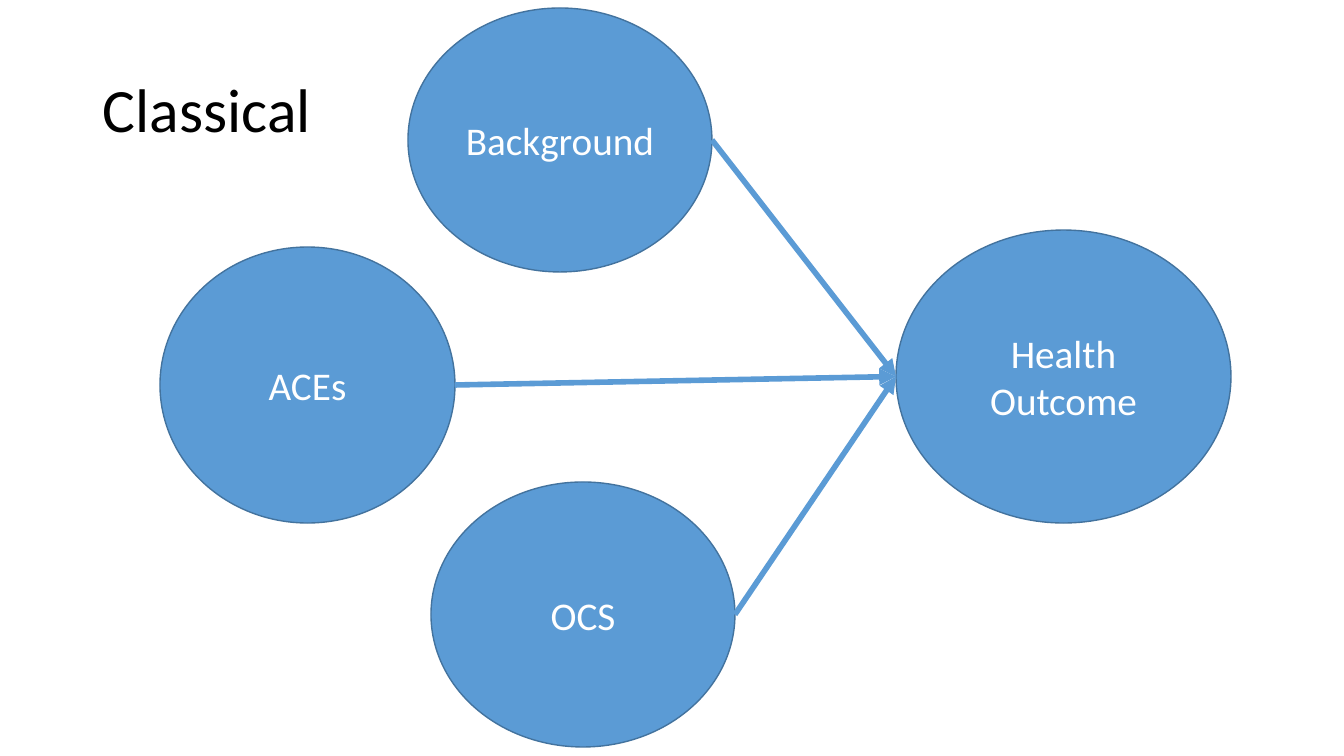
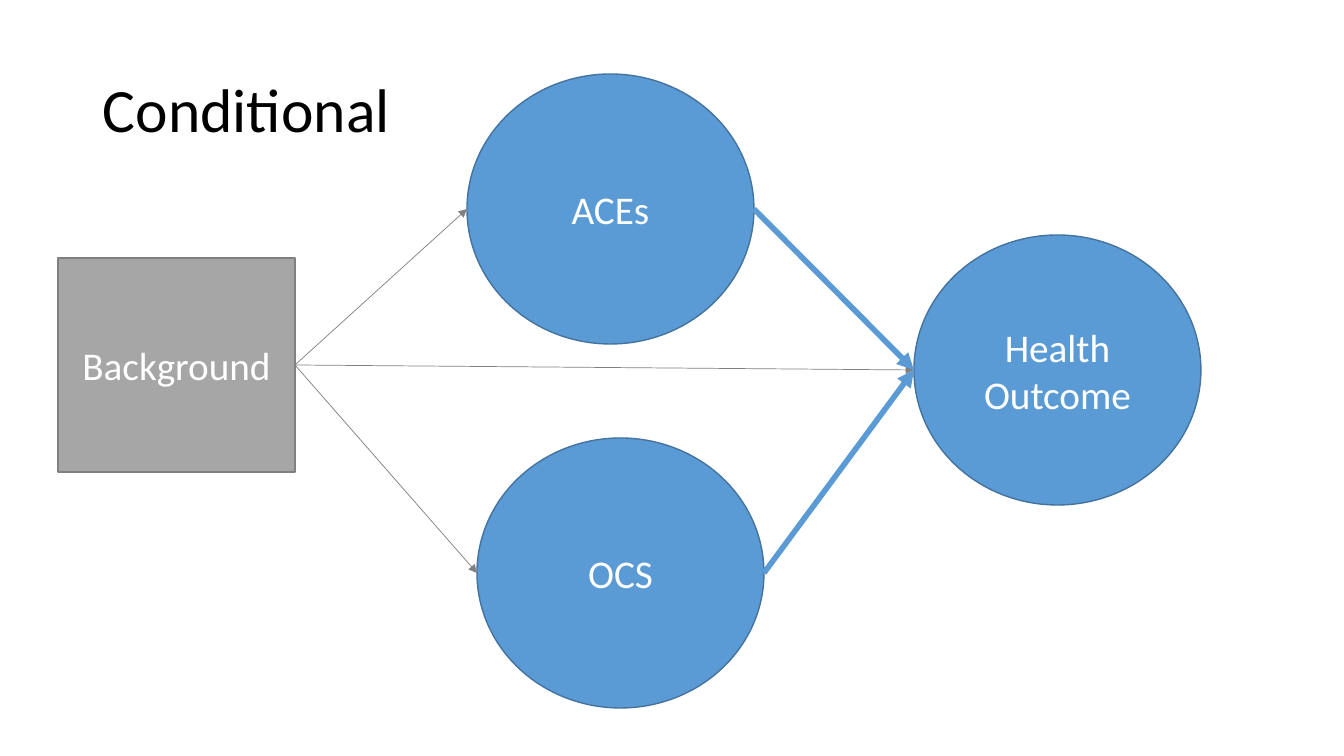
from lxml import etree
from pptx import Presentation
from pptx.dml.color import RGBColor
from pptx.enum import shapes, text
from pptx.oxml.ns import qn
from pptx.util import Emu, Pt

PIXEL = 914400 / 100.8
FONT = "Calibri"
BLACK = RGBColor(0x00, 0x00, 0x00)
WHITE = RGBColor(0xFF, 0xFF, 0xFF)
BLUE = RGBColor(0x5B, 0x9B, 0xD5)
DARK_BLUE = RGBColor(0x43, 0x73, 0x9E)
GRAY = RGBColor(0xA6, 0xA6, 0xA6)
DARK_GRAY = RGBColor(0x80, 0x80, 0x80)


def px(*lengths):
    return [Emu(round(length * PIXEL)) for length in lengths]


class Diagram:
    """Holds the shared style and the current slide."""

    def __init__(self):
        self.presentation = Presentation()
        self.presentation.slide_width, self.presentation.slide_height = px(1344, 756)
        self.slide = None

    def add_slide(self, title):
        layout = self.presentation.slide_layouts[6]
        self.slide = self.presentation.slides.add_slide(layout)
        box = self.slide.shapes.add_textbox(*px(93, 40, 1159, 146))
        self.set_text(box, title, 44, BLACK, text.PP_ALIGN.LEFT)
        box.text_frame.paragraphs[0].line_spacing = 0.9

    def set_text(self, shape, words, size, color, alignment):
        frame = shape.text_frame
        frame.text = words
        frame.word_wrap = True
        frame.vertical_anchor = text.MSO_ANCHOR.MIDDLE
        paragraph = frame.paragraphs[0]
        paragraph.alignment = alignment
        font = paragraph.runs[0].font
        font.name, font.size, font.color.rgb = FONT, Pt(size), color

    def node(self, preset, words, bounds, fill, outline):
        shape = self.slide.shapes.add_shape(preset, *px(*bounds))
        shape.shadow.inherit = False
        shape.fill.solid()
        shape.fill.fore_color.rgb = fill
        shape.line.color.rgb = outline
        shape.line.width = Pt(1)
        self.set_text(shape, words, 28, WHITE, text.PP_ALIGN.CENTER)
        return shape

    def ellipse(self, words, *bounds):
        return self.node(shapes.MSO_SHAPE.OVAL, words, bounds, BLUE, DARK_BLUE)

    def rectangle(self, words, *bounds):
        return self.node(shapes.MSO_SHAPE.RECTANGLE, words, bounds, GRAY, DARK_GRAY)

    def arrow(self, source, target, color=BLUE, width=4):
        """Joins the right side of source to the left side of target."""
        connector = self.slide.shapes.add_connector(
            shapes.MSO_CONNECTOR.STRAIGHT,
            source.left + source.width, source.top + source.height // 2,
            target.left, target.top + target.height // 2)
        connector.line.color.rgb = color
        connector.line.width = Pt(width)
        properties = connector.element.spPr
        line = properties.find(qn("a:ln"))
        etree.SubElement(line, qn("a:tailEnd"), type="triangle")
        etree.SubElement(properties, qn("a:effectLst"))


diagram = Diagram()

# Classical: every factor acts directly on the outcome
diagram.add_slide("Classical")
outcome = diagram.ellipse("Health Outcome", 896, 230, 335, 293)
factors = [
    diagram.ellipse("Background", 408, 8, 304, 264),
    diagram.ellipse("ACEs", 160, 247, 295, 276),
    diagram.ellipse("OCS", 431, 482, 304, 265),
]
for factor in factors:
    diagram.arrow(factor, outcome)

# Conditional: background acts on the factors and the outcome
diagram.add_slide("Conditional")
size = 287, 270
outcome = diagram.ellipse("Health Outcome", 914, 235, *size)
factors = [
    diagram.ellipse("ACEs", 467, 74, *size),
    diagram.ellipse("OCS", 477, 438, *size),
]
background = diagram.rectangle("Background", 58, 258, 237, 214)
for target in [outcome, *factors]:
    diagram.arrow(background, target, DARK_GRAY, 0.5)
for factor in factors:
    diagram.arrow(factor, outcome)

diagram.presentation.save("out.pptx")
